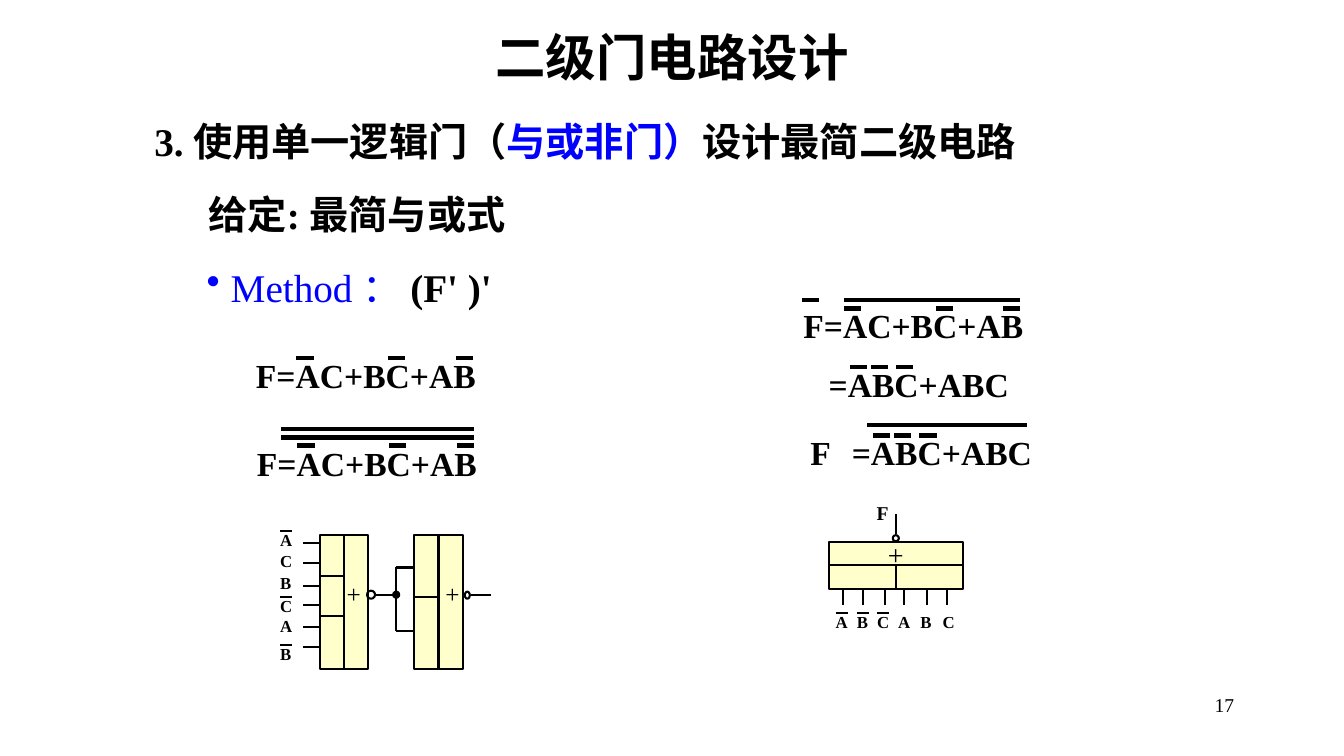
from lxml.etree import SubElement
from pptx import Presentation
from pptx.dml.color import RGBColor
from pptx.enum.shapes import MSO_CONNECTOR, MSO_SHAPE
from pptx.enum.text import MSO_ANCHOR, MSO_AUTO_SIZE, PP_ALIGN
from pptx.oxml.ns import qn
from pptx.util import Inches, Pt

SLIDE_WIDTH, SLIDE_HEIGHT = 13.33, 7.5
LATIN, CHINESE = "Times New Roman", "Noto Sans CJK SC"
BLACK, BLUE, CREAM = "000000", "0000FF", "FFFFCC"
BAR_LENGTH, LETTER_BAR = 0.17, 0.12


def color(hex_string):
    return RGBColor.from_string(hex_string)


def write(text_frame, runs, size, align=PP_ALIGN.LEFT, bullet=None, latin=LATIN):
    """Fill one paragraph with (text, colour, bold) runs."""
    text_frame.word_wrap = True
    text_frame.auto_size = MSO_AUTO_SIZE.NONE
    paragraph = text_frame.paragraphs[0]
    properties = paragraph._p.get_or_add_pPr()
    indent = Inches(0.24) if bullet else 0
    properties.set("marL", str(indent))
    properties.set("indent", str(-indent))
    paragraph.space_before = Pt(0)
    if bullet:
        SubElement(properties, qn("a:buChar")).set("char", bullet)
    else:
        SubElement(properties, qn("a:buNone"))
    paragraph.alignment = align
    for text, hex_string, bold in runs:
        run = paragraph.add_run()
        run.text = text
        run.font.size = Pt(size)
        run.font.bold = bold
        run.font.name = latin
        run.font.color.rgb = color(hex_string)
        SubElement(run._r.get_or_add_rPr(), qn("a:ea")).set("typeface", CHINESE)


def place(shape, left, top, width, height):
    shape.left, shape.top = Inches(left), Inches(top)
    shape.width, shape.height = Inches(width), Inches(height)


def add_text(slide, left, top, width, height, runs, size, **options):
    box = slide.shapes.add_textbox(*map(Inches, (left, top, width, height)))
    write(box.text_frame, runs, size, **options)


def add_line(slide, x1, y1, x2, y2, weight=1.5):
    line = slide.shapes.add_connector(
        MSO_CONNECTOR.STRAIGHT, *map(Inches, (x1, y1, x2, y2)))
    line.line.color.rgb = color(BLACK)
    line.line.width = Pt(weight)
    SubElement(line._element.spPr, qn("a:effectLst"))


def add_outline(slide, kind, left, top, width, height, fill=None):
    shape = slide.shapes.add_shape(kind, *map(Inches, (left, top, width, height)))
    shape.shadow.inherit = False
    if fill:
        shape.fill.solid()
        shape.fill.fore_color.rgb = color(fill)
    else:
        shape.fill.background()
    shape.line.color.rgb = color(BLACK)
    shape.line.width = Pt(1.5)


def add_letter(slide, left, top, letter, barred):
    add_text(slide, left, top, 0.39, 0.3, [(letter, BLACK, True)], 12)
    if barred:
        add_line(slide, left + 0.1, top + 0.06, left + 0.1 + LETTER_BAR, top + 0.06)


def add_formula(slide, left, top, width, text, bars, long_bars=()):
    """Formula with short bars over letters and long bars (start, end, height)."""
    add_text(slide, left, top, width, 0.5, [(text, BLACK, True)], 24)
    for start in bars:
        add_line(slide, left + start, top + 0.08,
                 left + start + BAR_LENGTH, top + 0.08, 3)
    for start, end, height in long_bars:
        add_line(slide, left + start, top + height, left + end, top + height, 3)


def add_heading(slide):
    title, body = slide.shapes.title, slide.placeholders[1]
    place(title, 1, 0.2, SLIDE_WIDTH - 2, 0.72)
    title.text_frame.vertical_anchor = MSO_ANCHOR.MIDDLE
    write(title.text_frame, [("二级门电路设计", BLACK, True)], 36,
          align=PP_ALIGN.CENTER, latin=CHINESE)
    place(body, 1.43, 1.11, 9.06, 0.62)
    write(body.text_frame, [("3. 使用单一逻辑门（", BLACK, True),
                            ("与或非门）", BLUE, True),
                            ("设计最简二级电路", BLACK, True)], 28)
    add_text(slide, 1.97, 1.84, 5.04, 0.57, [("给定: 最简与或式", BLACK, True)], 28)
    add_text(slide, 1.95, 2.56, 3.62, 0.57,
             [("Method ： ", BLUE, False), ("(F' )'", BLACK, True)], 28, bullet="•")


def add_formulas(slide):
    sum_text, sum_bars = "F=AC+BC+AB", (0.5, 1.41, 2.08)
    product_text, product_bars = "=ABC+ABC", (0.31, 0.52, 0.77)
    # Left column: F and its double complement
    add_formula(slide, 2.44, 3.47, 2.42, sum_text, sum_bars)
    add_formula(slide, 2.45, 4.34, 2.42, sum_text, sum_bars,
                [(0.34, 2.25, -0.08), (0.34, 2.25, 0)])
    # Right column: complement of F, simplified, complemented again
    add_formula(slide, 7.87, 2.98, 2.42, sum_text, sum_bars,
                [(0.08, 0.25, 0), (0.5, 2.25, 0)])
    add_formula(slide, 8.12, 3.56, 2.25, product_text, product_bars)
    add_formula(slide, 7.94, 4.24, 0.75, "F", ())
    add_formula(slide, 8.35, 4.24, 2.25, product_text, product_bars,
                [(0.25, 1.84, -0.02)])


def add_two_gate_circuit(slide, left, top):
    """Six inputs, an AND-OR-NOT gate and a second gate used as inverter."""
    height, column = 1.33, 0.24
    middle = top + 0.59
    second = left + 0.94
    # Gate bodies
    for x in (left, left + column, second, second + column):
        add_outline(slide, MSO_SHAPE.RECTANGLE, x, top, column, height, CREAM)
    for third in (1, 2):
        y = top + 0.4 * third
        add_line(slide, left, y, left + column, y)
    add_line(slide, second, top + 0.61, second + column, top + 0.61)
    for x in (left + 0.17, second + 0.21):
        add_text(slide, x, middle - 0.21, 0.31, 0.4, [("+", BLACK, False)], 18)
    # Inputs: letter, barred, letter height, wire height
    inputs = [("A", True, -0.1, 0.08), ("C", False, 0.1, 0.28),
              ("B", False, 0.32, 0.5), ("C", True, 0.55, 0.69),
              ("A", False, 0.75, 0.91), ("B", True, 1.03, 1.11)]
    for letter, barred, letter_y, wire_y in inputs:
        add_letter(slide, left - 0.49, top + letter_y, letter, barred)
        add_line(slide, left - 0.16, top + wire_y, left, top + wire_y)
    # Link between the gates, and the output
    fork = left + 0.76
    add_outline(slide, MSO_SHAPE.OVAL, left + 0.47, middle - 0.04, 0.08, 0.08)
    add_line(slide, left + 0.55, middle, fork, middle)
    add_outline(slide, MSO_SHAPE.OVAL, fork - 0.03, middle - 0.03, 0.06, 0.06, BLACK)
    branches = (top + 0.32, top + 0.95)
    add_line(slide, fork, branches[0], fork, branches[1])
    for y in branches:
        add_line(slide, fork, y, second, y)
    add_outline(slide, MSO_SHAPE.OVAL, left + 1.44, middle - 0.03, 0.05, 0.07)
    add_line(slide, left + 1.5, middle, left + 1.7, middle)


def add_single_gate_circuit(slide, left, top):
    """One upright AND-OR-NOT gate with six inputs below."""
    width, row = 1.33, 0.23
    center, bottom = left + width / 2, top + 2 * row
    for y in (top, top + row):
        add_outline(slide, MSO_SHAPE.RECTANGLE, left, y, width, row, CREAM)
    add_line(slide, center, top + row, center, bottom)
    add_text(slide, center - 0.22, top - 0.1, 0.44, 0.4, [("+", BLACK, False)], 20,
             align=PP_ALIGN.CENTER)
    # Output
    add_outline(slide, MSO_SHAPE.OVAL, center - 0.03, top - 0.07, 0.06, 0.06)
    add_line(slide, center, top - 0.08, center, top - 0.28)
    add_text(slide, center - 0.29, top - 0.46, 0.39, 0.34, [("F", BLACK, True)], 14)
    # Inputs
    wires = (0.14, 0.34, 0.56, 0.75, 0.97, 1.17)
    letters = (-0.03, 0.18, 0.38, 0.59, 0.81, 1.03)
    for index, (wire, letter_x) in enumerate(zip(wires, letters)):
        add_line(slide, left + wire, bottom, left + wire, bottom + 0.16)
        add_letter(slide, left + letter_x, bottom + 0.18, "ABC"[index % 3], index < 3)


def main():
    presentation = Presentation()
    presentation.slide_width = Inches(SLIDE_WIDTH)
    presentation.slide_height = Inches(SLIDE_HEIGHT)
    slide = presentation.slides.add_slide(presentation.slide_layouts[1])
    add_heading(slide)
    add_formulas(slide)
    add_two_gate_circuit(slide, 3.17, 5.31)
    add_single_gate_circuit(slide, 8.22, 5.38)
    # Page number
    add_text(slide, 9.56, 6.83, 2.78, 0.5, [("17", BLACK, False)], 14,
             align=PP_ALIGN.RIGHT)
    presentation.save("out.pptx")


if __name__ == "__main__":
    main()
